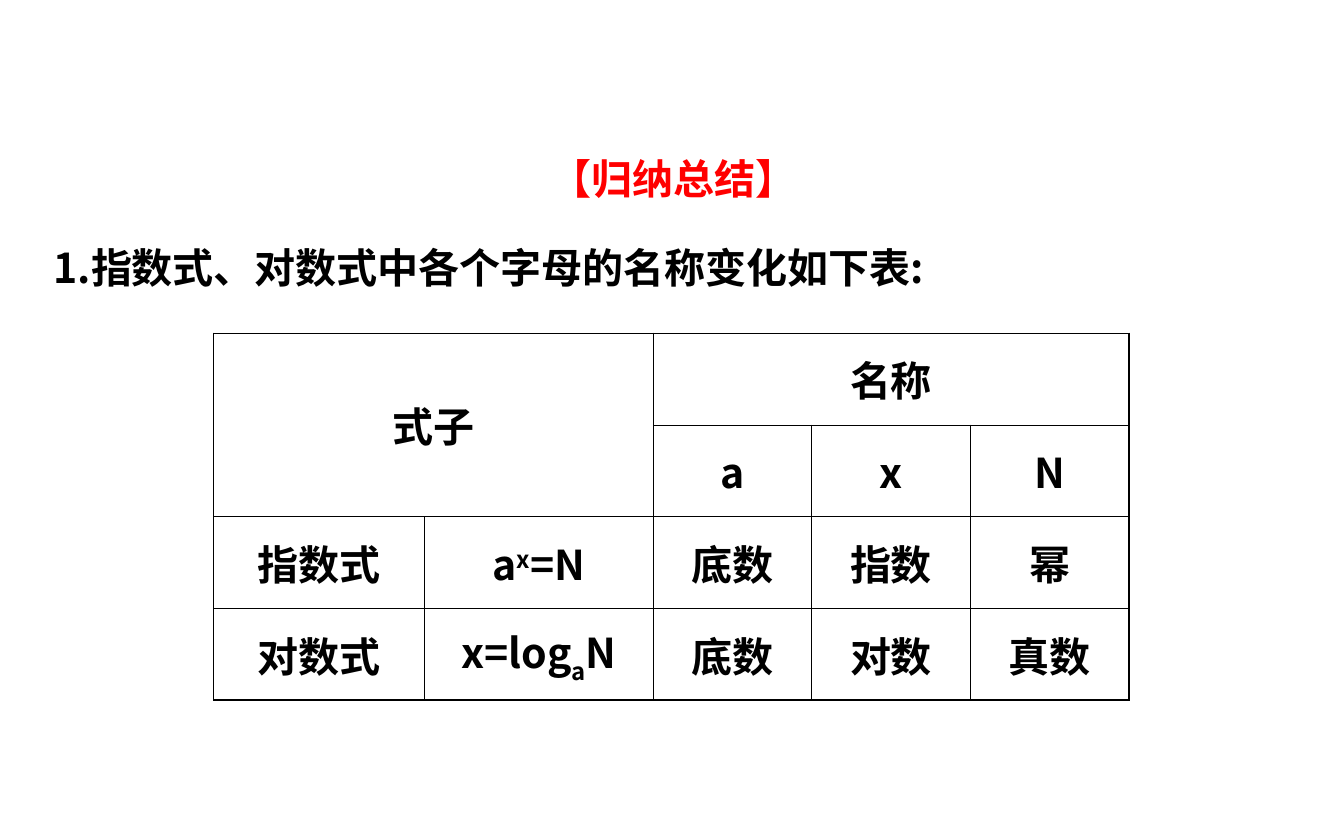
"""Build a slide that tabulates the letter names in exponential and logarithmic forms."""
from lxml import etree
from pptx import Presentation
from pptx.dml.color import RGBColor
from pptx.enum.text import MSO_ANCHOR, MSO_AUTO_SIZE, PP_ALIGN
from pptx.oxml.ns import qn
from pptx.util import Inches, Pt

CENTER, LEFT = PP_ALIGN.CENTER, PP_ALIGN.LEFT
MIDDLE = MSO_ANCHOR.MIDDLE
GROW = MSO_AUTO_SIZE.SHAPE_TO_FIT_TEXT
RED = RGBColor(0xFF, 0x00, 0x00)
BLACK = RGBColor(0x00, 0x00, 0x00)
FONT = "Noto Sans CJK SC"
OUTER, INNER = Pt(0.75), Pt(0.45)


def add_run(p, text, color=BLACK, baseline=0):
    r = p.add_run()
    r.text = text
    r.font.size = Pt(22)
    r.font.bold = True
    r.font.color.rgb = color
    r.font.name = FONT
    rPr = r.font._element
    etree.SubElement(rPr, qn("a:ea"), typeface=FONT)
    if baseline:
        rPr.set("baseline", str(baseline * 1000))


def add_border(cell, side, width):
    ln = etree.SubElement(cell._tc.get_or_add_tcPr(), qn(f"a:ln{side}"), w=str(width))
    fill = etree.SubElement(ln, qn("a:solidFill"))
    etree.SubElement(fill, qn("a:srgbClr"), val=str(BLACK))


prs = Presentation()
prs.slide_width, prs.slide_height = Inches(10), Inches(6.25)
s = prs.slides.add_slide(prs.slide_layouts[6])

sp = s.shapes.add_textbox(Inches(0.3), Inches(0.8), Inches(9.43), Inches(1.42))
tf = sp.text_frame
tf.word_wrap = True
tf.auto_size = GROW
lines = [
    ("【归纳总结】", CENTER, RED),
    ("1.指数式、对数式中各个字母的名称变化如下表:", LEFT, BLACK),
]
for i, (text, align, color) in enumerate(lines):
    p = tf.add_paragraph() if i else tf.paragraphs[0]
    p.alignment = align
    p.line_spacing = 1.8
    add_run(p, text, color)

rows = [
    ["式子", "", "名称", "", ""],
    ["", "", "a", "x", "N"],
    ["指数式", [("a", 0), ("x", 30), ("=N", 0)], "底数", "指数", "幂"],
    ["对数式", [("x=log", 0), ("a", -30), ("N", 0)], "底数", "对数", "真数"],
]
widths = [1.57, 1.7] + [1.18] * 3
n_rows, n_cols = len(rows), len(widths)
frame = s.shapes.add_table(n_rows, n_cols, Inches(1.59), Inches(2.48),
                           Inches(sum(widths)), Inches(2.73))
table = frame.table
table.first_row = table.horz_banding = False
for col, width in zip(table.columns, widths):
    col.width = Inches(width)
for row in table.rows:
    row.height = Inches(2.73 / n_rows)
table.cell(0, 0).merge(table.cell(1, 1))
table.cell(0, 2).merge(table.cell(0, 4))

for i, row in enumerate(rows):
    for j, content in enumerate(row):
        cell = table.cell(i, j)
        right, bottom = j + cell.span_width, i + cell.span_height
        edges = {"L": j == 0, "R": right == n_cols, "T": i == 0, "B": bottom == n_rows}
        for side, is_outer in edges.items():
            add_border(cell, side, OUTER if is_outer else INNER)
        cell.fill.background()
        cell.vertical_anchor = MIDDLE
        if not content:
            continue
        p = cell.text_frame.paragraphs[0]
        p.alignment = CENTER
        parts = [(content, 0)] if isinstance(content, str) else content
        for text, baseline in parts:
            add_run(p, text, baseline=baseline)

prs.save("out.pptx")
